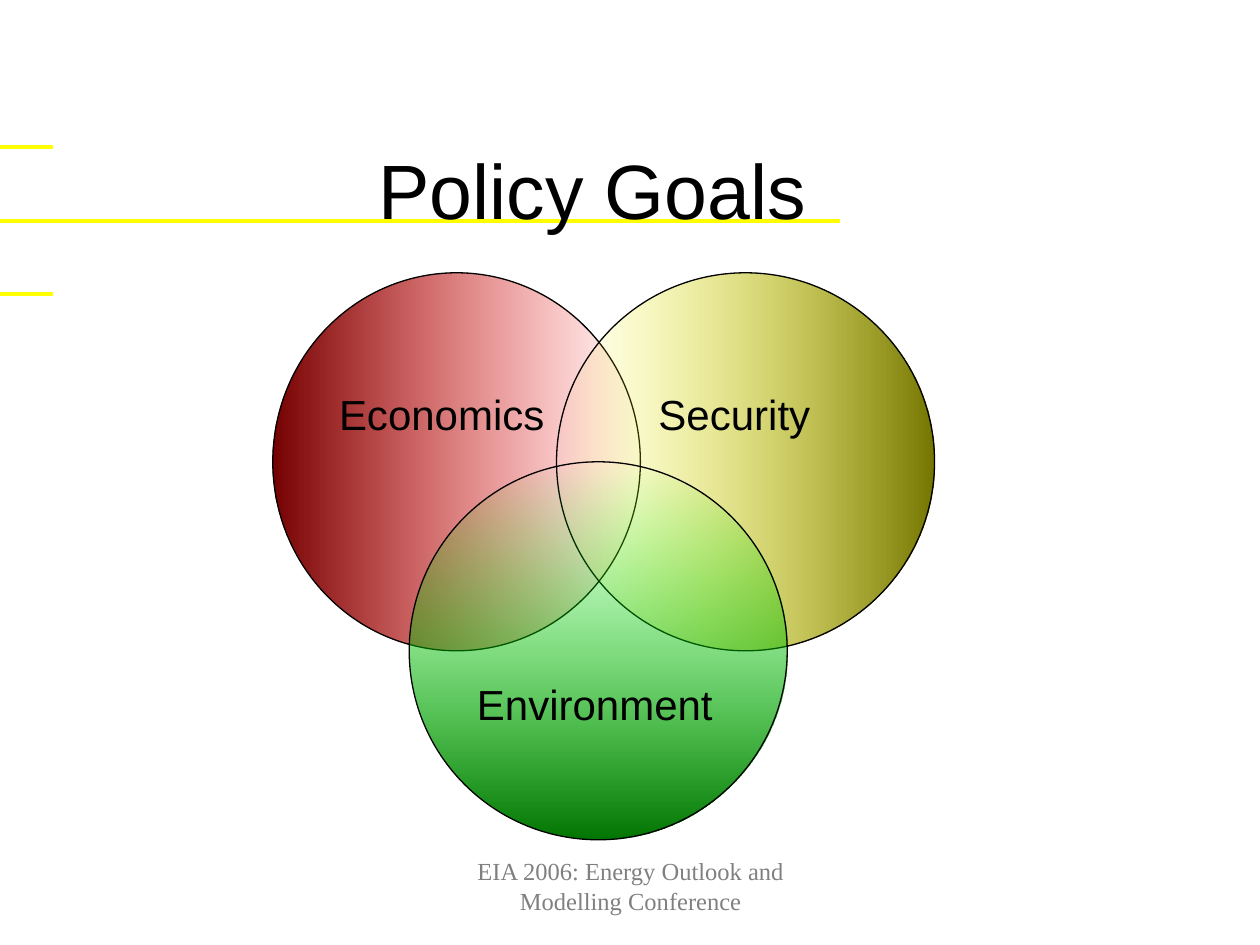
from lxml.etree import SubElement
from pptx import Presentation
from pptx.dml.color import RGBColor
from pptx.enum.shapes import MSO_CONNECTOR, MSO_SHAPE
from pptx.enum.text import MSO_ANCHOR as Anchor, PP_ALIGN as Align
from pptx.oxml import parse_xml
from pptx.oxml.ns import nsdecls, qn
from pptx.util import Cm, Pt

BLACK = RGBColor(0x00, 0x00, 0x00)
GREY = RGBColor(0x80, 0x80, 0x80)
YELLOW = RGBColor(0xFF, 0xFF, 0x00)
RED = RGBColor(0xFF, 0x00, 0x00)
GREEN = RGBColor(0x00, 0xFF, 0x00)
DARK_RED = RGBColor(0x75, 0x00, 0x00)
DARK_YELLOW = RGBColor(0x75, 0x75, 0x00)
DARK_GREEN = RGBColor(0x00, 0x75, 0x00)

# Content, lengths in cm
TITLE = "Policy Goals"
FOOTER = "EIA 2006: Energy Outlook and Modelling Conference"
RULES = [(2.96, 1.06), (4.45, 16.93), (5.93, 1.06)]  # y, length
# label, left, top, width, clear colour, dark colour, direction of darkening,
# label inset from the left and from the top
GOALS = [
    ("Economics", 5.5, 5.5, 7.41, RED, DARK_RED, 180, 0.25, 1.22),
    ("Security", 11.22, 5.5, 7.62, YELLOW, DARK_YELLOW, 0, 0.94, 1.22),
    ("Environment", 8.25, 9.31, 7.62, GREEN, DARK_GREEN, 90, 0.25, 3.25),
]
CIRCLE_HEIGHT = 7.62


def write(frame, text, font_name, size, color, align):
    frame.word_wrap = True
    paragraph = frame.paragraphs[0]
    paragraph.text = text
    paragraph.alignment = align
    font = paragraph.font
    font.name, font.size, font.color.rgb = font_name, Pt(size), color


def add_caption(slide, box, *style):
    frame = slide.shapes.add_textbox(*map(Cm, box)).text_frame
    frame.vertical_anchor = Anchor.BOTTOM
    write(frame, *style, Align.CENTER)


def add_rule(slide, y, length):
    rule = slide.shapes.add_connector(
        MSO_CONNECTOR.STRAIGHT, 0, Cm(y), Cm(length), Cm(y))
    rule.line.color.rgb = YELLOW
    rule.line.width = Pt(2.25)
    SubElement(rule._element.spPr, qn("a:effectLst"))


def fade(shape, clear, dark, angle):
    """Fill from a fully transparent colour to a solid dark one."""
    gradient = parse_xml(
        f'<a:gradFill {nsdecls("a")} rotWithShape="1"><a:gsLst>'
        f'<a:gs pos="0"><a:srgbClr val="{clear}"><a:alpha val="0"/></a:srgbClr></a:gs>'
        f'<a:gs pos="100000"><a:srgbClr val="{dark}"/></a:gs>'
        f'</a:gsLst><a:lin ang="{angle * 60000}" scaled="1"/></a:gradFill>')
    shape._element.spPr.find(qn("a:prstGeom")).addnext(gradient)


def add_goal(slide, label, left, top, width, clear, dark, angle, inset_x, inset_y):
    circle = slide.shapes.add_shape(
        MSO_SHAPE.OVAL, Cm(left), Cm(top), Cm(width), Cm(CIRCLE_HEIGHT))
    circle.shadow.inherit = False
    fade(circle, clear, dark, angle)
    circle.line.color.rgb = BLACK
    circle.line.width = Pt(0.75)
    frame = circle.text_frame
    frame.vertical_anchor = Anchor.TOP
    frame.margin_left, frame.margin_top = Cm(inset_x), Cm(inset_y)
    frame.margin_right = 0
    write(frame, label, "Arial", 24, BLACK, Align.LEFT)


def main():
    deck = Presentation()
    deck.slide_width, deck.slide_height = Cm(25.4), Cm(19.05)
    slide = deck.slides.add_slide(deck.slide_layouts[6])

    # Yellow rules behind the title
    for y, length in RULES:
        add_rule(slide, y, length)
    add_caption(slide, (1.15, 1.69, 21.59, 3.18), TITLE, "Arial", 44, BLACK)

    # Overlapping goals
    for goal in GOALS:
        add_goal(slide, *goal)

    # Footer
    add_caption(slide, (8.69, 17.3, 8.05, 1.27), FOOTER, "Times New Roman", 14, GREY)
    deck.save("out.pptx")


if __name__ == "__main__":
    main()
